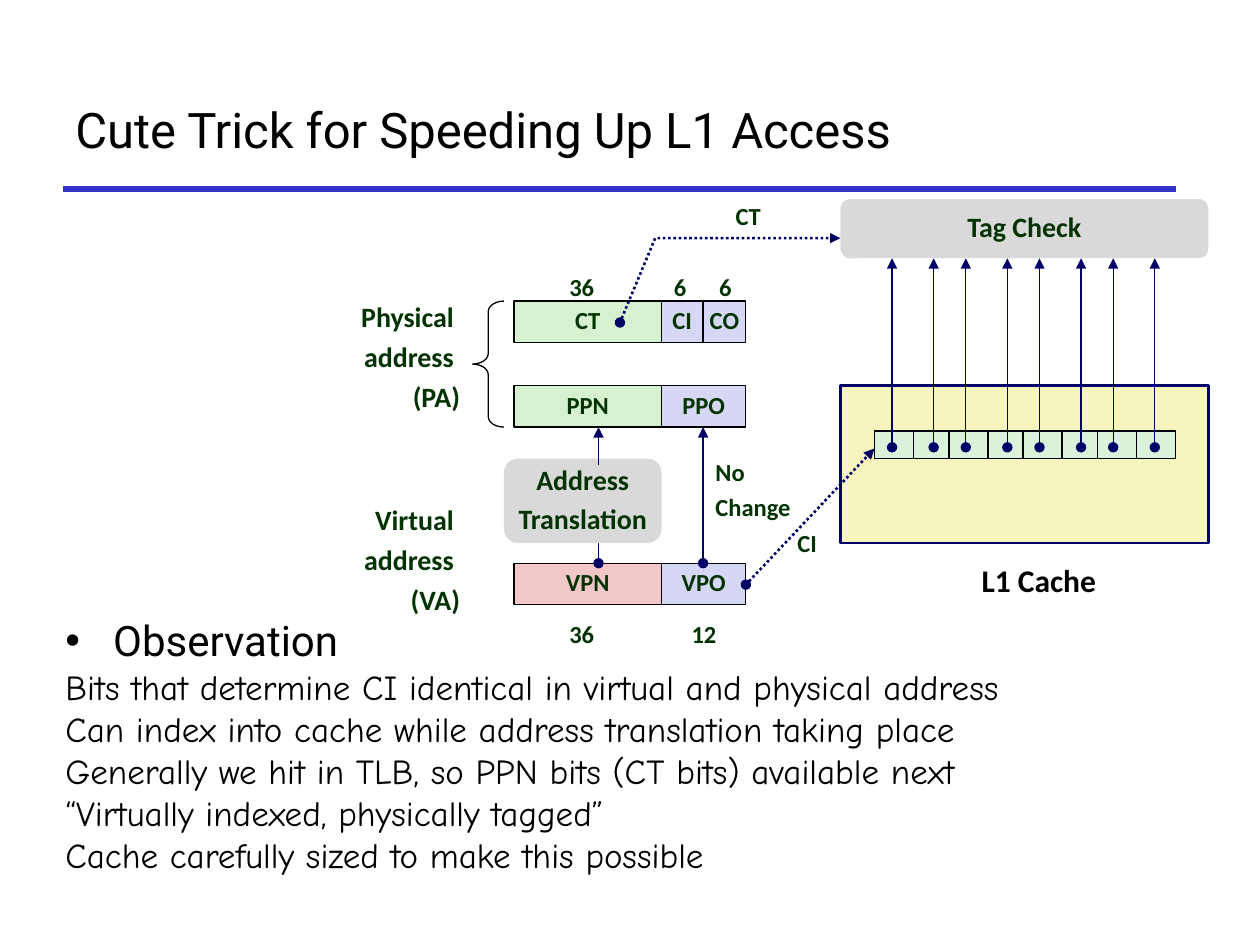
"""Build the slide on overlapping the L1 cache lookup with address translation."""
from lxml import etree
from pptx import Presentation
from pptx.dml.color import RGBColor
from pptx.enum.dml import MSO_LINE
from pptx.enum.shapes import MSO_CONNECTOR, MSO_SHAPE
from pptx.enum.text import MSO_ANCHOR, MSO_AUTO_SIZE, PP_ALIGN
from pptx.oxml.ns import qn
from pptx.util import Inches, Pt

LEFT, CENTER, RIGHT = PP_ALIGN.LEFT, PP_ALIGN.CENTER, PP_ALIGN.RIGHT
TOP, MIDDLE = MSO_ANCHOR.TOP, MSO_ANCHOR.MIDDLE
RECT, ROUND, BRACE = MSO_SHAPE.RECTANGLE, MSO_SHAPE.ROUNDED_RECTANGLE, MSO_SHAPE.LEFT_BRACE
STRAIGHT, DOTTED = MSO_CONNECTOR.STRAIGHT, MSO_LINE.ROUND_DOT
FIT, NO_FIT = MSO_AUTO_SIZE.SHAPE_TO_FIT_TEXT, MSO_AUTO_SIZE.NONE

BLACK, INK, NAVY, RULE = "000000", "003300", "000066", "3333CC"
GREEN, LILAC, ROSE, GRAY, CREAM, MINT = "D5F1CF", "D6D6F5", "F1C7C7", "D9D9D9", "F6F5BD", "DBF2DA"

TITLE = "Cute Trick for Speeding Up L1 Access"
HEADING = "Observation"
OBSERVATIONS = [
    "Bits that determine CI identical in virtual and physical address",
    "Can index into cache while address translation taking place",
    "Generally we hit in TLB, so PPN bits (CT bits) available next",
    "“Virtually indexed, physically tagged”",
    "Cache carefully sized to make this possible",
]

COLUMNS = [4.08, 5.25, 5.58, 5.92]
PA_ROW, PPN_ROW, VA_ROW, FIELD_HEIGHT = 2.39, 3.06, 4.47, 0.33
FIELDS = [
    ("CT", 0, 1, PA_ROW, GREEN), ("CI", 1, 2, PA_ROW, LILAC), ("CO", 2, 3, PA_ROW, LILAC),
    ("PPN", 0, 1, PPN_ROW, GREEN), ("PPO", 1, 3, PPN_ROW, LILAC),
    ("VPN", 0, 1, VA_ROW, ROSE), ("VPO", 1, 3, VA_ROW, LILAC),
]
LABELS = [
    (["36"], 4.42, 2.14, 0.4, 0.31), (["6"], 5.25, 2.14, 0.3, 0.31), (["6"], 5.61, 2.14, 0.3, 0.31),
    (["36"], 4.42, 4.89, 0.4, 0.31), (["12"], 5.39, 4.89, 0.4, 0.31),
    (["CT"], 5.74, 1.58, 0.4, 0.31), (["CI"], 6.23, 4.17, 0.36, 0.31),
    (["No", "Change"], 5.58, 3.61, 0.8, 0.59),
]
ADDRESSES = [
    (["Physical ", "address ", "(PA)"], 1.02, 2.36, 2.73),
    (["Virtual ", "address ", "(VA)"], 2.58, 3.97, 1.17),
]
CACHE_LEFT, CACHE_WIDTH = 6.67, 2.92
TAG_TOP, TAG_HEIGHT = 1.58, 0.47
LINE_LEFT, LINE_TOP, CELL_WIDTH, CELL_HEIGHT = 6.94, 3.42, 0.31, 0.22
PAIRS, PAIR_PITCH = 4, 0.59
ARROW_LEFT, ARROW_GAP, ARROW_PITCH = 7.08, 0.33, 0.585
VPN_X = 4.75


def rgb(color):
    return RGBColor.from_string(color)


def write(shape, lines, size, align=CENTER, anchor=MIDDLE, font="Calibri", color=INK,
          bold=True, wrap=False, fit=NO_FIT, spacing=0.88, before=5.2):
    frame = shape.text_frame
    frame_format = {"word_wrap": wrap, "vertical_anchor": anchor, "auto_size": fit}
    for name, value in frame_format.items():
        setattr(frame, name, value)
    for index, line in enumerate(lines):
        paragraph = frame.paragraphs[0] if index == 0 else frame.add_paragraph()
        run = paragraph.add_run()
        run.text = line
        paragraph.alignment, paragraph.line_spacing = align, spacing
        if index:
            paragraph.space_before = Pt(before)
        for name, value in {"name": font, "size": Pt(size), "bold": bold}.items():
            setattr(run.font, name, value)
        run.font.color.rgb = rgb(color)
    return frame


def stroke(line, color, width, head=None, tail=None, dash=None):
    line.color.rgb = rgb(color)
    line.width = Pt(width)
    if dash:
        line.dash_style = dash
    for tag, kind in (("a:headEnd", head), ("a:tailEnd", tail)):
        if kind:
            etree.SubElement(line._get_or_add_ln(), qn(tag), type=kind)


def block(shapes, kind, left, top, width, height, fill=None, line=None, weight=0.75):
    shape = shapes.add_shape(kind, *map(Inches, (left, top, width, height)))
    shape.shadow.inherit = False
    if fill:
        shape.fill.solid()
        shape.fill.fore_color.rgb = rgb(fill)
    else:
        shape.fill.background()
    if line:
        stroke(shape.line, line, weight)
    else:
        shape.line.fill.background()
    return shape


def label(shapes, lines, left, top, width, height, size, **formats):
    box = shapes.add_textbox(*map(Inches, (left, top, width, height)))
    return write(box, lines, size, anchor=formats.pop("anchor", TOP), **formats)


def connect(shapes, start, end, color=NAVY, width=0.75, head=None, tail=None, dash=None):
    connector = shapes.add_connector(STRAIGHT, *map(Inches, (*start, *end)))
    stroke(connector.line, color, width, head, tail, dash)
    etree.SubElement(connector._element.spPr, qn("a:effectLst"))


def add_text(shapes):
    plain = {"color": BLACK, "bold": False, "wrap": True, "align": LEFT, "spacing": 1.0, "before": 0}
    connect(shapes, (0.5, 1.5), (9.33, 1.5), RULE, 3)
    label(shapes, [TITLE], 0.5, 0.58, 8.67, 0.88, 28, anchor=MIDDLE, font="Roboto", **plain)
    body = label(shapes, [HEADING, *OBSERVATIONS], 0.42, 4.83, 9.35, 2.56, 20, font="Comic Neue", **plain)
    heading = body.paragraphs[0]
    properties = heading._p.get_or_add_pPr()
    properties.set("marL", str(Inches(0.38)))
    properties.set("indent", str(-Inches(0.38)))
    etree.SubElement(properties, qn("a:buFont"), typeface="Arial")
    etree.SubElement(properties, qn("a:buChar"), char="•")
    heading.runs[0].font.name = "Roboto"
    heading.runs[0].font.size = Pt(24)


def add_translation(shapes):
    for lines, left, top, width in ADDRESSES:
        label(shapes, lines, left, top, width, 0.98, 16, align=RIGHT, wrap=True, fit=FIT, before=6)
    for name, first, last, top, fill in FIELDS:
        left = COLUMNS[first]
        write(block(shapes, RECT, left, top, COLUMNS[last] - left, FIELD_HEIGHT, fill, BLACK), [name], 14)
    brace = block(shapes, BRACE, 3.75, PA_ROW, 0.25, 1, line=BLACK)
    brace.adjustments[0] = 0.33
    ppn_bottom = PPN_ROW + FIELD_HEIGHT
    connect(shapes, (VPN_X, VA_ROW), (VPN_X, 4.22), head="oval", tail="triangle")
    translation = block(shapes, ROUND, 4, 3.64, 1.25, 0.67, GRAY)
    write(translation, ["Address", "Translation"], 16)
    connect(shapes, (VPN_X, 3.69), (VPN_X, ppn_bottom), tail="triangle")
    connect(shapes, (COLUMNS[2], VA_ROW), (COLUMNS[2], ppn_bottom), head="oval", tail="triangle")


def add_cache(shapes):
    block(shapes, RECT, CACHE_LEFT, 3.06, CACHE_WIDTH, 1.25, CREAM, NAVY, 1.5)
    dotted = {"width": 1.5, "head": "oval", "tail": "triangle", "dash": DOTTED}
    connect(shapes, (COLUMNS[3], 4.64), (LINE_LEFT, 3.56), **dotted)
    tag_path = shapes.build_freeform(Inches(4.92), Inches(2.56))
    tag_points = [(5.2, 1.89), (CACHE_LEFT, 1.89)]
    tag_path.add_line_segments([(Inches(x), Inches(y)) for x, y in tag_points], close=False)
    tag_route = tag_path.convert_to_shape()
    tag_route.shadow.inherit = False
    tag_route.fill.background()
    stroke(tag_route.line, NAVY, **dotted)
    slots = [(pair, side) for pair in range(PAIRS) for side in range(2)]
    for pair, side in slots:
        left = LINE_LEFT + pair * PAIR_PITCH + side * CELL_WIDTH
        block(shapes, RECT, left, LINE_TOP, CELL_WIDTH, CELL_HEIGHT, MINT, BLACK, 1)
    for pair, side in slots:
        x = ARROW_LEFT + pair * ARROW_PITCH + side * ARROW_GAP
        connect(shapes, (x, 3.55), (x, TAG_TOP + TAG_HEIGHT), head="oval", tail="triangle")
    write(block(shapes, ROUND, CACHE_LEFT, TAG_TOP, CACHE_WIDTH, TAG_HEIGHT, GRAY), ["Tag Check"], 16)
    label(shapes, ["L1 Cache"], 7.58, 4.4, 1.33, 0.4, 18, color=BLACK, wrap=True, fit=FIT, spacing=1.0)


def main():
    deck = Presentation()
    deck.slide_width, deck.slide_height = Inches(10), Inches(7.5)
    shapes = deck.slides.add_slide(deck.slide_layouts[6]).shapes
    add_text(shapes)
    add_translation(shapes)
    add_cache(shapes)
    for lines, *place in LABELS:
        label(shapes, lines, *place, 14, align=LEFT, fit=FIT)
    deck.save("out.pptx")


if __name__ == "__main__":
    main()
